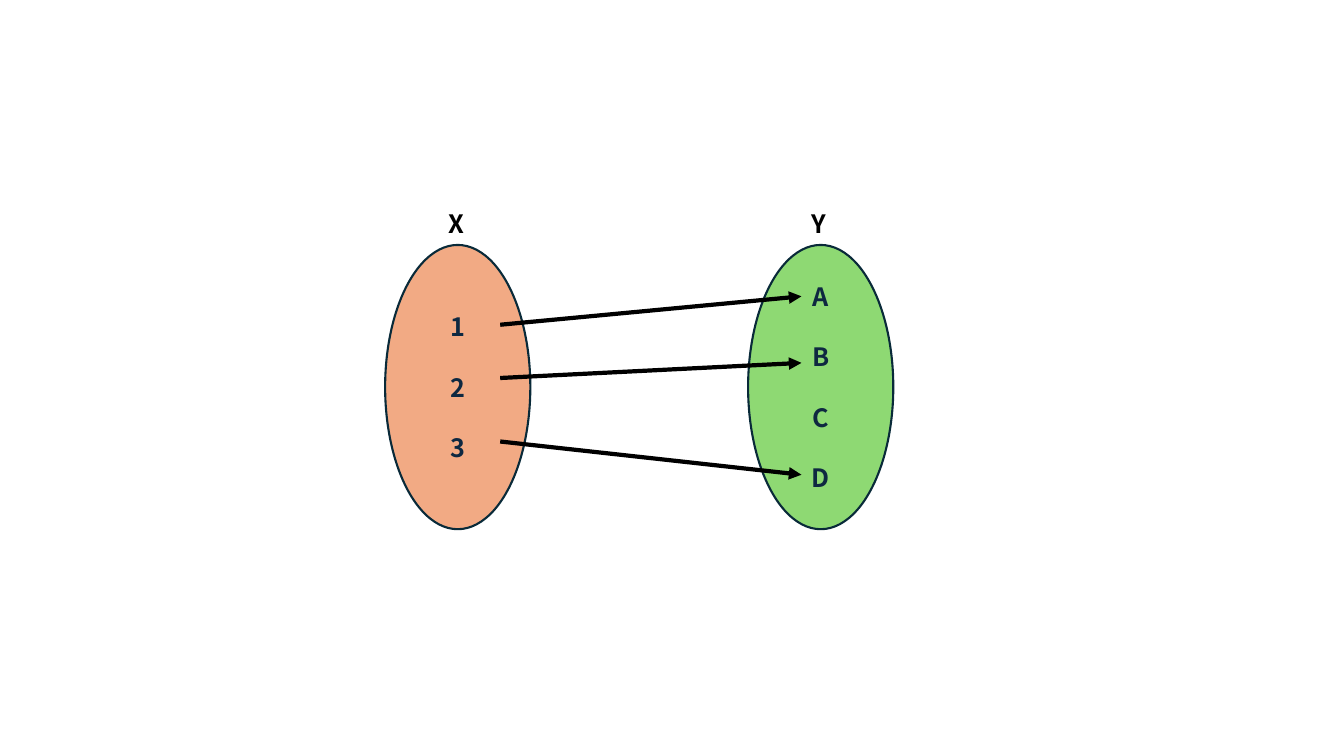
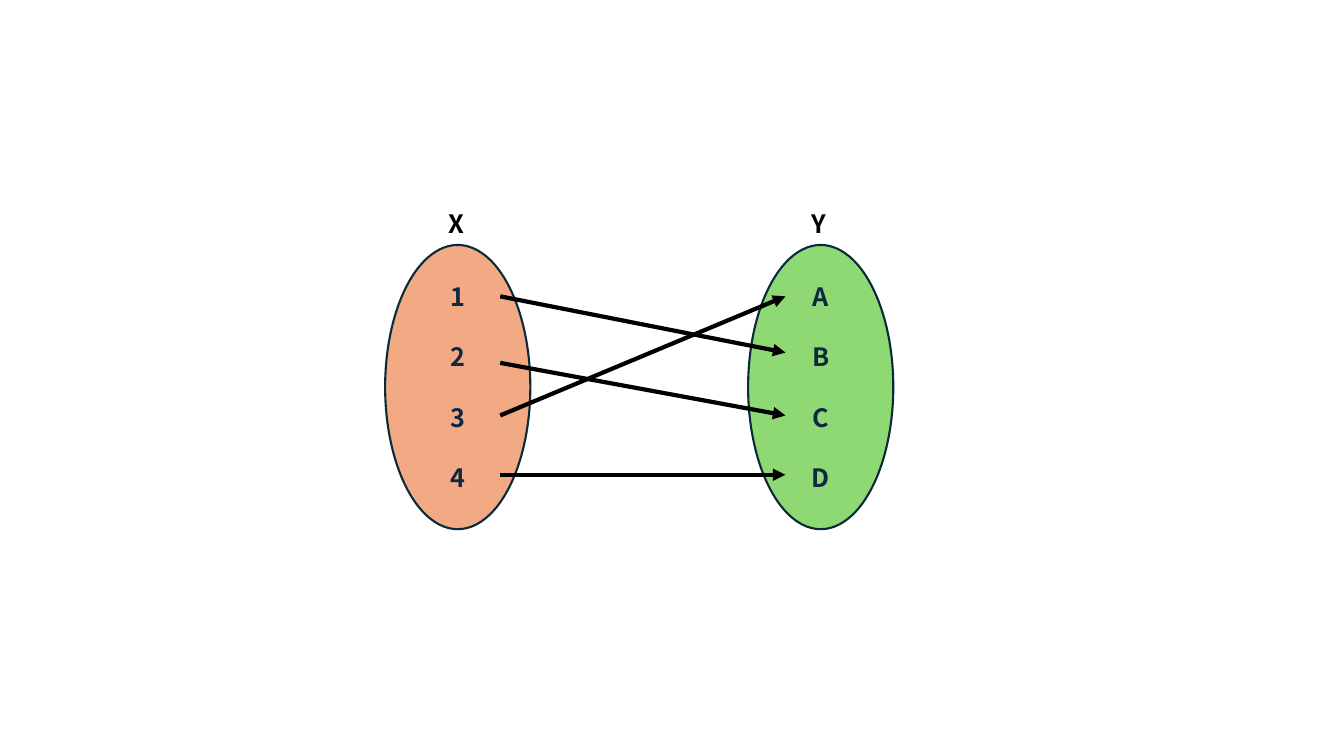
from dataclasses import dataclass

from lxml.etree import SubElement
from pptx import Presentation
from pptx.dml.color import RGBColor as RGB
from pptx.enum.shapes import MSO_CONNECTOR as CONN, MSO_SHAPE as SHAPE
from pptx.enum.text import MSO_ANCHOR as ANCHOR, PP_ALIGN as ALIGN
from pptx.oxml.ns import qn
from pptx.util import Inches, Pt


@dataclass(frozen=True)
class Theme:
    font: str = "Noto Sans CJK KR"
    size: float = 18
    gap: float = 21.6
    domain: str = "F2AA84"
    codomain: str = "8ED973"
    outline: str = "092A39"
    member: str = "0E2841"
    ink: str = "000000"
    outline_pt: float = 1.5
    arrow_pt: float = 3


T = Theme()

# Grid: column 0 is the left edge of X, row 0 the height of element A
COL, ROW = 0.36, 0.6
LEFT, TOP = 3.82, 2.94
SET_W, SET_H = 4, 4.7
SET_ROW, LABEL_ROW = -0.85, -1.53
X_COL, Y_COL = 0, 10
START = 3.17


def x(col):
    return Inches(LEFT + col * COL)


def y(row):
    return Inches(TOP + row * ROW)


def add_run(p, text, color):
    r = p.add_run()
    r.text = text
    r.font.name, r.font.size, r.font.bold = T.font, Pt(T.size), True
    r.font.color.rgb = RGB.from_string(color)


def add_set(slide, col, name, members, fill):
    """Draw an oval with its members and the set's name above it."""
    sp = slide.shapes.add_shape(SHAPE.OVAL, x(col), y(SET_ROW),
                                Inches(SET_W * COL), Inches(SET_H * ROW))
    sp.shadow.inherit = False
    sp.fill.solid()
    sp.fill.fore_color.rgb = RGB.from_string(fill)
    sp.line.color.rgb = RGB.from_string(T.outline)
    sp.line.width = Pt(T.outline_pt)
    tf = sp.text_frame
    tf.vertical_anchor = ANCHOR.MIDDLE
    for i, member in enumerate(members):
        p = tf.add_paragraph() if i else tf.paragraphs[0]
        p.alignment = ALIGN.CENTER
        if i:
            p.space_before = Pt(T.gap)
        add_run(p, member, T.member)

    label = slide.shapes.add_textbox(x(col + 1.48), y(LABEL_ROW),
                                     Inches(0.37), Inches(0.4))
    label.text_frame.word_wrap = False
    add_run(label.text_frame.paragraphs[0], name, T.ink)


def add_arrow(slide, start, end):
    """Join two (column, row) points."""
    line = slide.shapes.add_connector(CONN.STRAIGHT, x(start[0]), y(start[1]),
                                      x(end[0]), y(end[1]))
    line.line.color.rgb = RGB.from_string(T.ink)
    line.line.width = Pt(T.arrow_pt)
    SubElement(line.line._get_or_add_ln(), qn("a:tailEnd"), type="triangle")
    SubElement(line._element.spPr, qn("a:effectLst"))


def add_mapping(prs, members, end_col, arrows):
    """Add a slide with both sets; arrows are (start row, end row) pairs."""
    slide = prs.slides.add_slide(prs.slide_layouts[6])
    add_set(slide, X_COL, "X", members, T.domain)
    add_set(slide, Y_COL, "Y", "ABCD", T.codomain)
    for start_row, end_row in arrows:
        add_arrow(slide, (START, start_row), (end_col, end_row))


def main():
    prs = Presentation()
    prs.slide_width, prs.slide_height = Inches(13.33), Inches(7.5)
    # One-to-one, but C is not reached
    add_mapping(prs, "123", 11.47, [(0.47, 0), (1.35, 1.1), (2.4, 2.95)])
    # One-to-one and onto
    add_mapping(prs, "1234", 11.03,
                [(0, 0.93), (1.1, 1.97), (1.97, 0), (2.95, 2.95)])
    prs.save("out.pptx")


if __name__ == "__main__":
    main()
